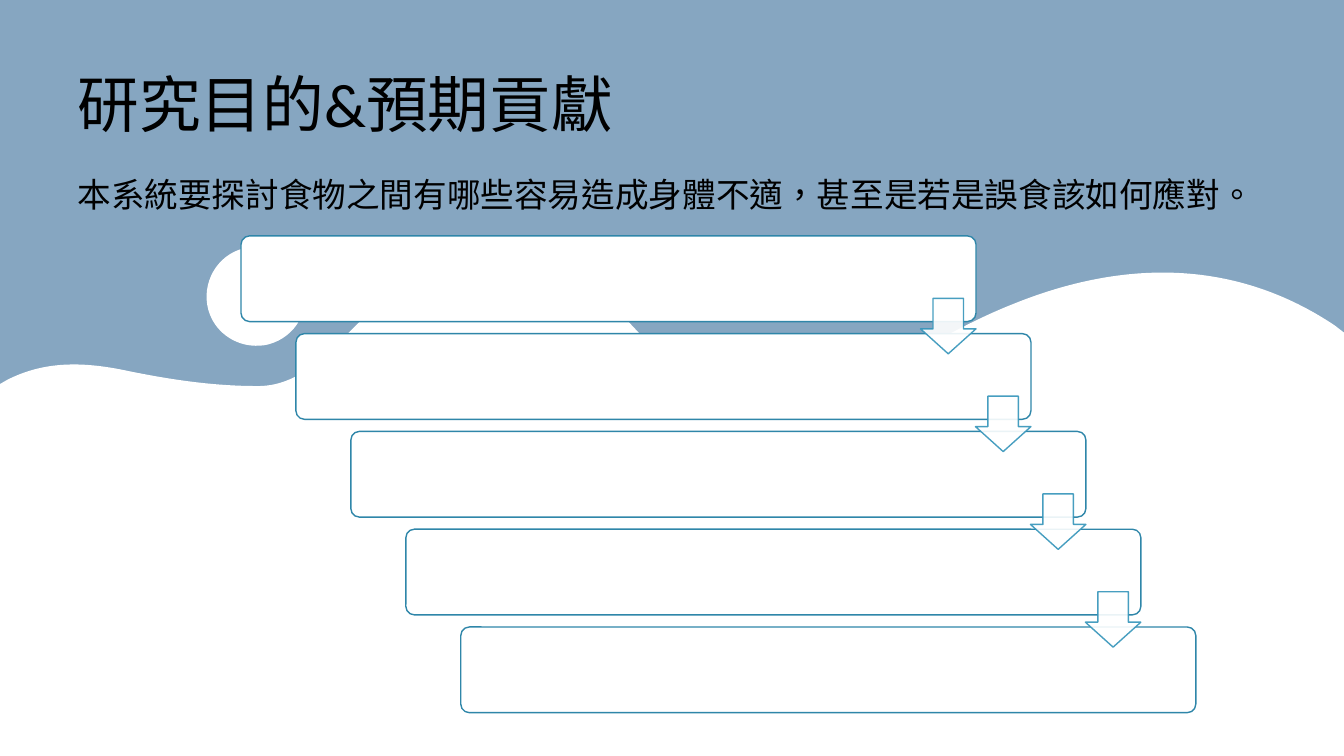
from pptx import Presentation, util as u
from pptx.dml.color import RGBColor
from pptx.enum import lang, shapes, text
from pptx.oxml.ns import qn
from lxml import etree


def paint(target, color, opacity=None):
    """Give a fill one colour and, if asked, an opacity in percent."""
    target.solid()
    target.fore_color.rgb = RGBColor.from_string(color)
    if opacity:
        for node in target._xPr.iter(qn("a:srgbClr")):
            etree.SubElement(node, qn("a:alpha"), val=str(opacity * 1000))


presentation = Presentation()
presentation.slide_width = u.Inches(13.33)
presentation.slide_height = u.Inches(7.5)
slide = presentation.slides.add_slide(presentation.slide_layouts[6])
paint(slide.background.fill, "86A6C1")

# White wave with two bubbles, in hundredths of an inch:
# start point, Bézier curves (two controls and an end each), straight points
outlines = [
    ((357, 283), [
        (347, 283), (338, 278), (333, 269), (327, 257), (332, 243), (344, 237),
        (356, 231), (371, 236), (377, 248), (383, 260), (378, 274), (366, 280),
        (363, 282), (360, 282), (357, 283)], []),
    ((257, 343), [
        (238, 344), (219, 334), (210, 316), (198, 292), (208, 262), (232, 250),
        (256, 238), (286, 248), (298, 272), (310, 297), (300, 326), (276, 338),
        (270, 341), (263, 343), (257, 343)], []),
    ((7, 377), [
        (44, 358), (82, 359), (122, 367), (165, 376), (210, 383), (254, 383),
        (295, 384), (323, 353), (350, 326), (416, 257), (492, 237), (568, 276),
        (598, 291), (623, 318), (646, 344), (707, 413), (782, 415), (853, 379),
        (903, 354), (951, 323), (1004, 302), (1117, 256), (1227, 258), (1324, 323)],
     [(1333, 330), (1333, 750), (0, 750), (0, 381)]),
]
builder = slide.shapes.build_freeform(*outlines[0][0], scale=u.Inches(0.01))
for number, (start, curves, corners) in enumerate(outlines):
    if number:
        builder.move_to(*start)
    builder.add_line_segments(curves + corners, close=True)
shape = builder.convert_to_shape()
shape.shadow.inherit = False
paint(shape.fill, "FFFFFF")
shape.line.fill.background()

# Join every three curve points into one Bézier segment
segments = iter(list(shape._element.iter(qn("a:lnTo"))))
for start, curves, corners in outlines:
    for _ in range(len(curves) // 3):
        trio = [next(segments) for _ in range(3)]
        bezier = etree.Element(qn("a:cubicBezTo"))
        trio[0].addprevious(bezier)
        for segment in trio:
            bezier.append(segment[0])
            segment.getparent().remove(segment)
    for _ in corners:
        next(segments)

# Title and introduction
for words, font_name, size, top, width, height in (
        ("研究目的&預期貢獻", "Calibri", 44, 0.6, 6.46, 1.78),
        ("本系統要探討食物之間有哪些容易造成身體不適，甚至是若是誤食該如何應對。",
         "Cabin", 24, 1.62, 12, 0.51)):
    box = slide.shapes.add_textbox(
        u.Inches(0.67), u.Inches(top), u.Inches(width), u.Inches(height))
    box.text_frame.word_wrap = True
    box.text_frame.vertical_anchor = text.MSO_ANCHOR.TOP
    paragraph = box.text_frame.paragraphs[0]
    paragraph.text = words
    paragraph.font.name = font_name
    paragraph.font.size = u.Pt(size)
    paragraph.font.color.rgb = RGBColor.from_string("000000")
    paragraph.runs[0].font.language_id = lang.MSO_LANGUAGE_ID.TRADITIONAL_CHINESE
paragraph.line_spacing = 1.15
paragraph.space_before = u.Pt(10)
paragraph.space_after = u.Pt(8)

# Staircase: five steps, then an arrow from each step to the next
left, top, column, row = 2.39, 2.34, 0.545, 0.97
step_width, step_height, arrow_size = 7.29, 0.85, 0.55
arrow_left = left + step_width - arrow_size
arrow_top = top + 0.62
staircase = slide.shapes.add_group_shape()
for kind, count, x, y, width, height, adjustments, line_color, opacity in (
        (shapes.MSO_SHAPE.ROUNDED_RECTANGLE, 5, left, top,
         step_width, step_height, [0.1], "2F86A9", None),
        (shapes.MSO_SHAPE.DOWN_ARROW, 4, arrow_left, arrow_top,
         arrow_size, arrow_size, [0.55, 0.45], "3494BA", 90)):
    for index in range(count):
        shape = staircase.shapes.add_shape(
            kind, u.Inches(x + index * column), u.Inches(y + index * row),
            u.Inches(width), u.Inches(height))
        for number, value in enumerate(adjustments):
            shape.adjustments[number] = value
        shape.shadow.inherit = False
        paint(shape.fill, "FFFFFF", opacity)
        paint(shape.line.fill, line_color, opacity)
        shape.line.width = u.Pt(1)

presentation.save("out.pptx")
